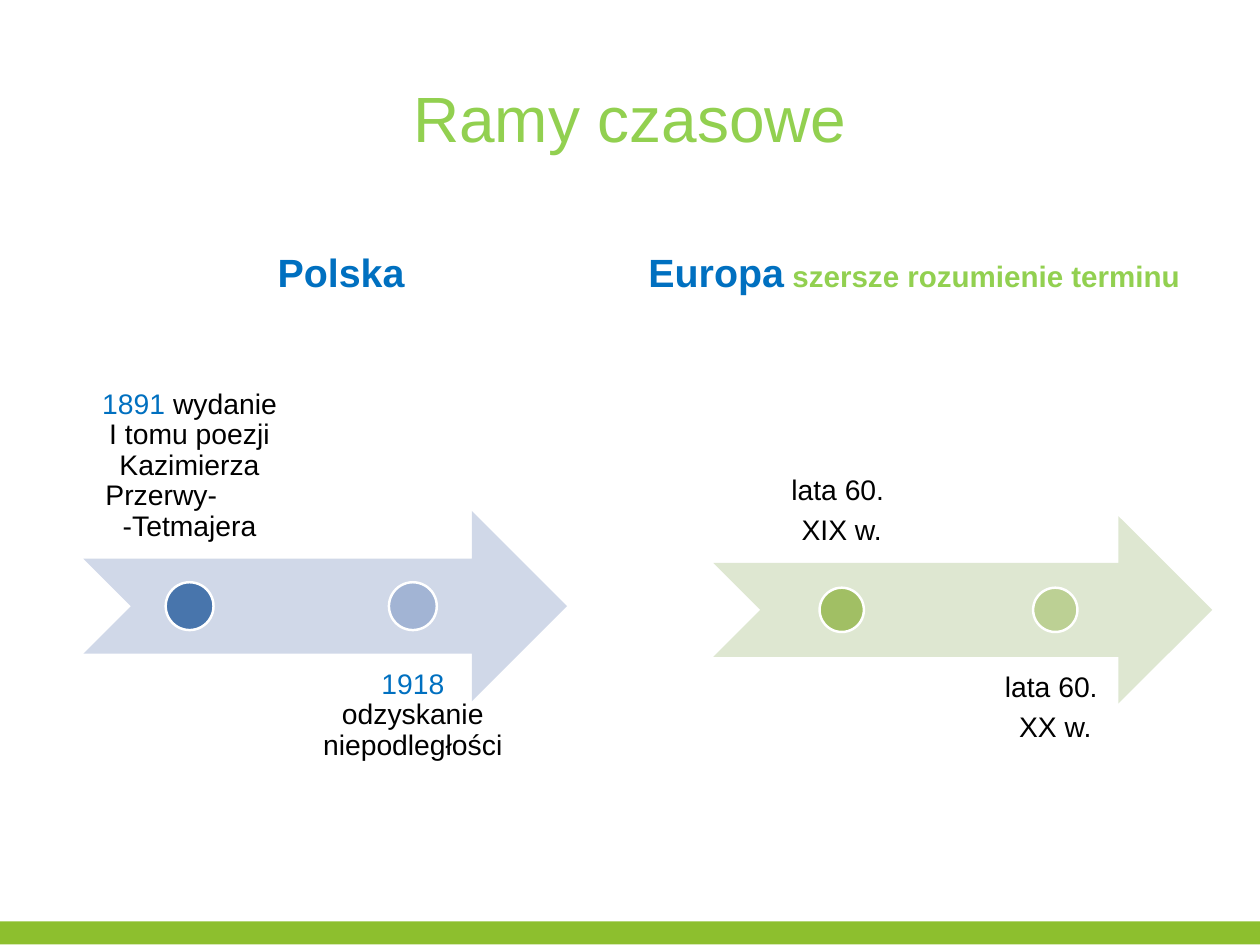
from lxml.etree import SubElement
from pptx import Presentation
from pptx.dml.color import RGBColor
from pptx.enum.shapes import MSO_SHAPE as Shape
from pptx.enum.text import MSO_ANCHOR as Anchor, PP_ALIGN as Align
from pptx.oxml.ns import qn
from pptx.util import Pt

BLUE, LIME, BLACK, WHITE = "0070C0", "92D050", "000000", "FFFFFF"
WIDTH, HEIGHT = 1023.84, 768.24

deck = Presentation()
deck.slide_width, deck.slide_height = Pt(WIDTH), Pt(HEIGHT)
page = deck.slides.add_slide(deck.slide_layouts[6])


def add_figure(kind, place, color, opacity=100, outlined=False):
    figure = page.shapes.add_shape(kind, *[Pt(value) for value in place])
    figure.shadow.inherit = False
    figure.fill.solid()
    figure.fill.fore_color.rgb = RGBColor.from_string(color)
    if opacity < 100:
        tint = figure.fill._xPr.find(qn("a:solidFill"))[0]
        SubElement(tint, qn("a:alpha"), val=str(opacity * 1000))
    if outlined:
        figure.line.color.rgb = RGBColor.from_string(WHITE)
        figure.line.width = Pt(2)
    else:
        figure.line.fill.background()


def add_text(place, anchor, paragraphs, align=Align.CENTER, bold=False, inset=None, leading=None, gap=0):
    box = page.shapes.add_textbox(*[Pt(value) for value in place])
    frame = box.text_frame
    frame.word_wrap = True
    frame.vertical_anchor = anchor
    if inset:
        frame.margin_left = frame.margin_right = Pt(inset)
        frame.margin_top = frame.margin_bottom = Pt(inset)
    for index, spans in enumerate(paragraphs):
        para = frame.paragraphs[0] if index == 0 else frame.add_paragraph()
        para.alignment = align
        para.line_spacing = leading
        para.space_after = Pt(gap)
        for text, size, color in spans:
            span = para.add_run()
            span.text = text
            span.font.name = "Arial"
            span.font.size = Pt(size)
            span.font.bold = bold
            span.font.color.rgb = RGBColor.from_string(color)
    return frame


add_figure(Shape.RECTANGLE, (0, 749, WIDTH, 18.7), "8DBF2E")
add_text((51.1, 31, 921.6, 128.2), Anchor.MIDDLE, [[("Ramy czasowe", 52, LIME)]])
add_text((51.1, 172, 452.2, 71.3), Anchor.BOTTOM, [[("Polska", 32, BLUE)]], bold=True)
add_text((519.8, 172, 452.9, 71.3), Anchor.BOTTOM,
         [[("Europa", 32, BLUE), (" szersze rozumienie terminu", 24, LIME)]],
         align=Align.LEFT, bold=True)

timelines = [
    {
        "arrow": (67.7, 415.4, 393.1, 154.8), "color": "D0D8E8", "dot": 38.9, "gap": 0,
        "events": [
            (154.1, 172.8, "4875AC", 100,
             [[("1891", 23, BLUE), (" wydanie I tomu poezji Kazimierza", 23, BLACK)],
              [("Przerwy-", 23, BLACK)], [("-Tetmajera", 23, BLACK)]]),
            (335.5, 172.8, "A2B4D4", 100,
             [[("1918 ", 23, BLUE), ("odzyskanie niepodległości", 23, BLACK)]]),
        ],
    },
    {
        "arrow": (579.6, 419.5, 405.4, 152.6), "color": "DEE7D1", "dot": 36, "gap": 8,
        "events": [
            (684, 189.4, "9BBB59", 90, [[("lata 60. ", 23, BLACK)], [("XIX w.", 23, BLACK)]]),
            (857.5, 154.1, "9BBB59", 50, [[("lata 60. ", 23, BLACK)], [("XX w.", 23, BLACK)]]),
        ],
    },
]

labels = []
for timeline in timelines:
    left, top, length, height = timeline["arrow"]
    dot = timeline["dot"]
    add_figure(Shape.NOTCHED_RIGHT_ARROW, timeline["arrow"], timeline["color"])
    sides = [(top - 0.75 * height, Anchor.BOTTOM), (top + 0.75 * height, Anchor.TOP)]
    for (center, width, color, opacity, paragraphs), (label_top, anchor) in zip(timeline["events"], sides):
        labels.append(add_text((center - width / 2, label_top, width, height), anchor, paragraphs,
                               inset=13, leading=0.9, gap=timeline["gap"]))
        add_figure(Shape.OVAL, (center - dot / 2, top + (height - dot) / 2, dot, dot),
                   color, opacity, outlined=True)

surname = labels[0].paragraphs[1]
surname.alignment = Align.LEFT
surname._p.get_or_add_pPr().set("marL", str(Pt(5)))

deck.save("out.pptx")
